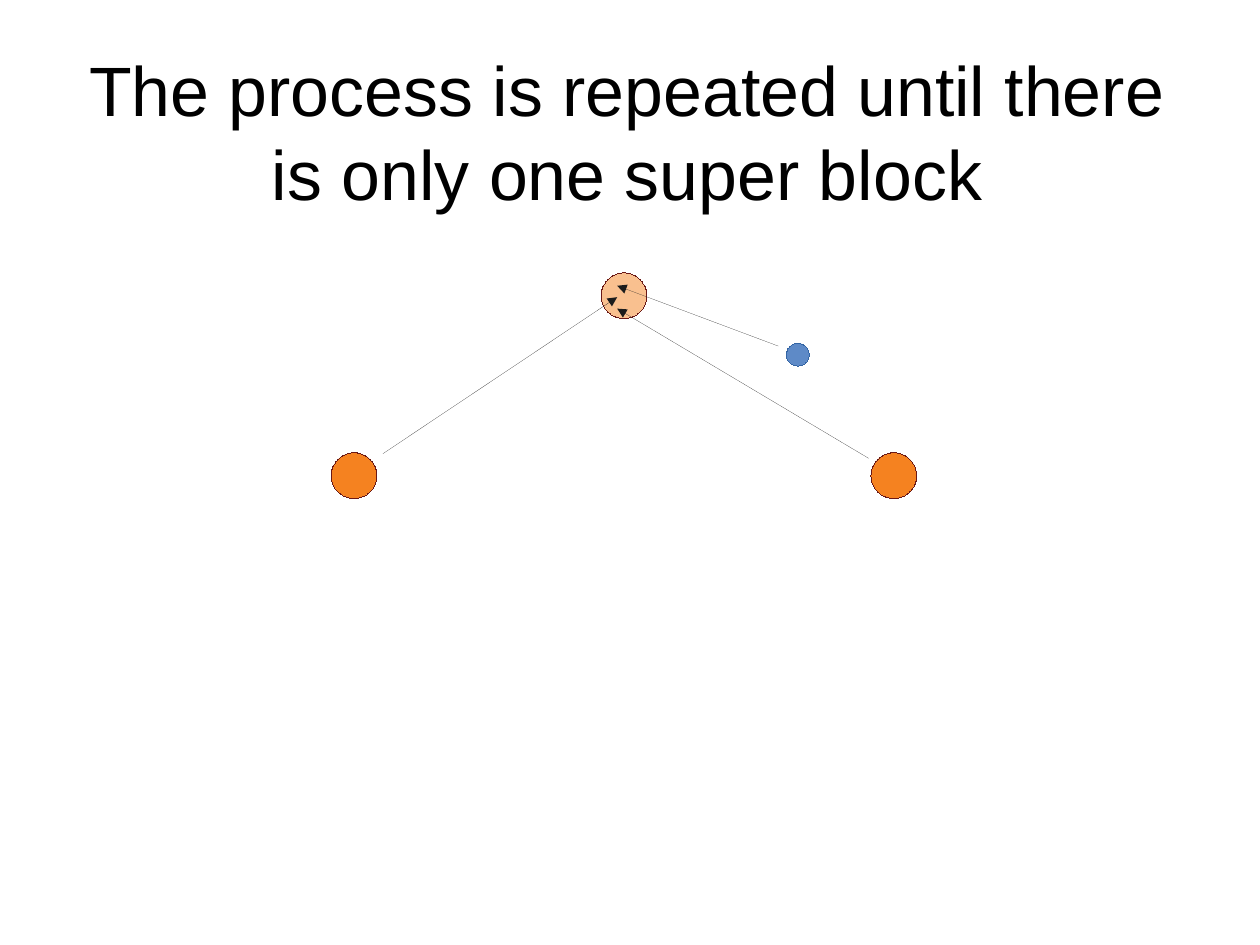
from pptx import Presentation
from pptx.dml.color import RGBColor
from pptx.enum.shapes import MSO_CONNECTOR as Link, MSO_SHAPE as Form
from pptx.enum.text import MSO_ANCHOR as Anchor, PP_ALIGN as Align
from pptx.oxml.ns import qn
from pptx.util import Pt
from lxml.etree import SubElement as Sub


def paint(code):
    return RGBColor.from_string(code)


class Board:
    """Draws styled elements on the current slide, in points."""

    font = "Arial"
    ink = "000000"
    wire = "1C1C1C"

    def __init__(self, deck):
        self.slide = deck.slides.add_slide(deck.slide_layouts[5])

    def title(self, text, left, top, width, height, size=44):
        box = self.slide.shapes.title
        box.left, box.top = Pt(left), Pt(top)
        box.width, box.height = Pt(width), Pt(height)
        frame = box.text_frame
        frame.word_wrap = True
        frame.vertical_anchor = Anchor.MIDDLE
        frame.margin_left = frame.margin_right = 0
        frame.margin_top = frame.margin_bottom = 0
        para = frame.paragraphs[0]
        para.alignment = Align.CENTER
        run = para.add_run()
        run.text = text
        run.font.name, run.font.size = self.font, Pt(size)
        run.font.color.rgb = paint(self.ink)

    def hair(self, shape, code):
        shape.line.color.rgb = paint(code)
        edge = shape.line._get_or_add_ln()
        edge.set("w", "0")
        return edge

    def node(self, x, y, size, fill, line, alpha=100):
        dot = self.slide.shapes.add_shape(
            Form.OVAL, Pt(x - size / 2), Pt(y - size / 2), Pt(size), Pt(size))
        dot.shadow.inherit = False
        dot.fill.solid()
        dot.fill.fore_color.rgb = paint(fill)
        self.hair(dot, line)
        if alpha < 100:
            tint = dot.fill._xPr.find(qn("a:solidFill"))[0]
            Sub(tint, qn("a:alpha"), val=str(alpha * 1000))

    def arrow(self, x1, y1, x2, y2):
        link = self.slide.shapes.add_connector(
            Link.STRAIGHT, Pt(x1), Pt(y1), Pt(x2), Pt(y2))
        Sub(self.hair(link, self.wire), qn("a:tailEnd"), type="triangle")
        Sub(link._element.spPr, qn("a:effectLst"))


def main():
    deck = Presentation()
    deck.slide_width, deck.slide_height = Pt(793.75), Pt(595.25)
    board = Board(deck)
    board.title("The process is repeated until there is only one super block",
                40, 24, 710.6, 116.6)

    mid, gap, top, low = 393.1, 170, 186.3, 299.6
    block, edge = "F58220", "6A1816"
    for x in (mid - gap, mid + gap):
        board.node(x, low, 28.8, block, edge)
    board.node(mid, top, 28.8, block, edge, alpha=50)
    board.node(502.6, 223.4, 14.4, "5E8AC7", "3465A4")

    tip = 388.8
    for x, y, end in ((490.3, 218, 180), (547.2, 288.7, 194.4),
                      (241.2, 285.8, 187.2)):
        board.arrow(x, y, tip, end)
    deck.save("out.pptx")


if __name__ == "__main__":
    main()
